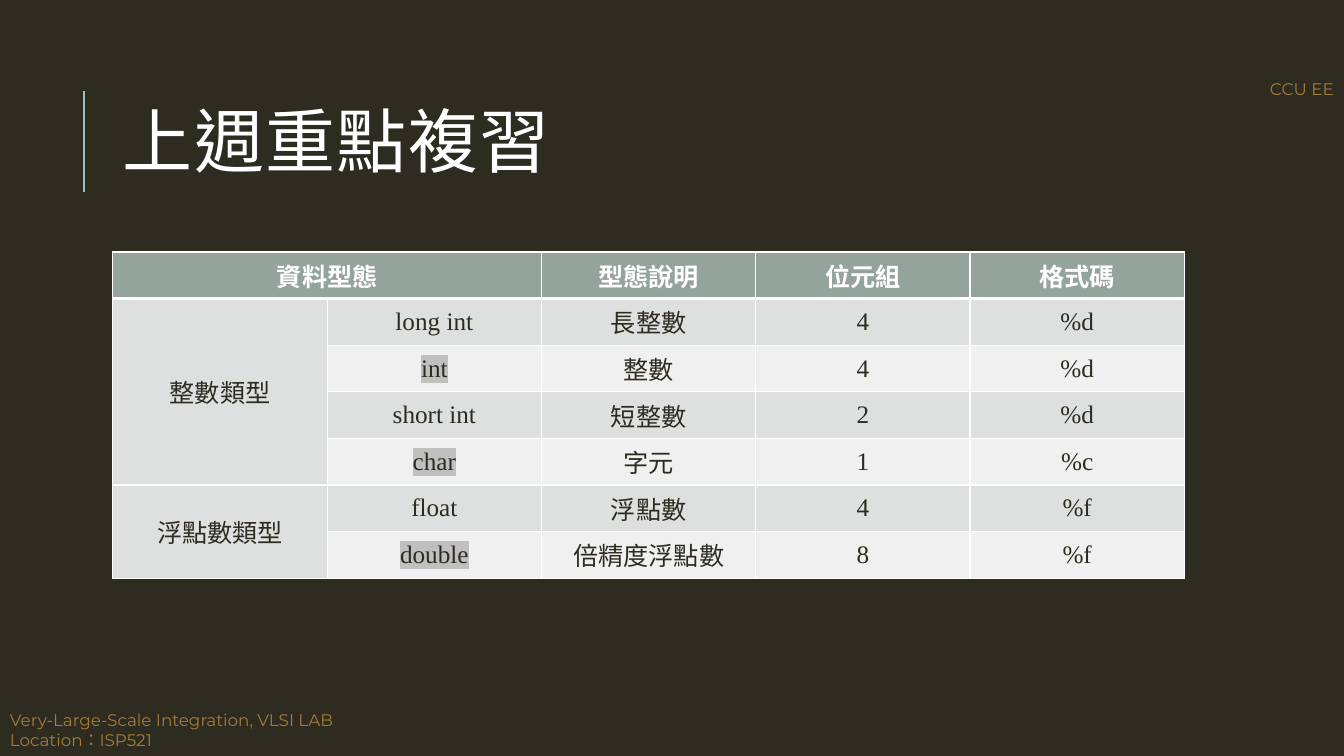
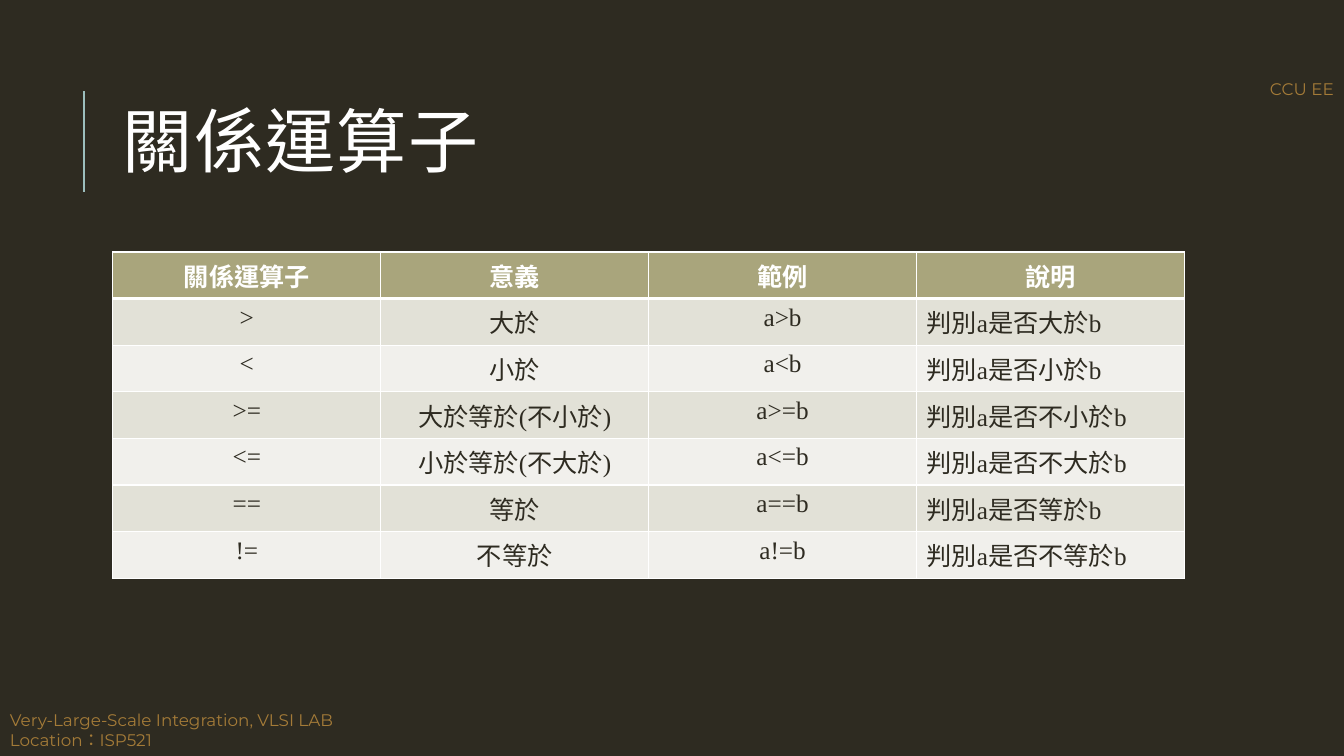
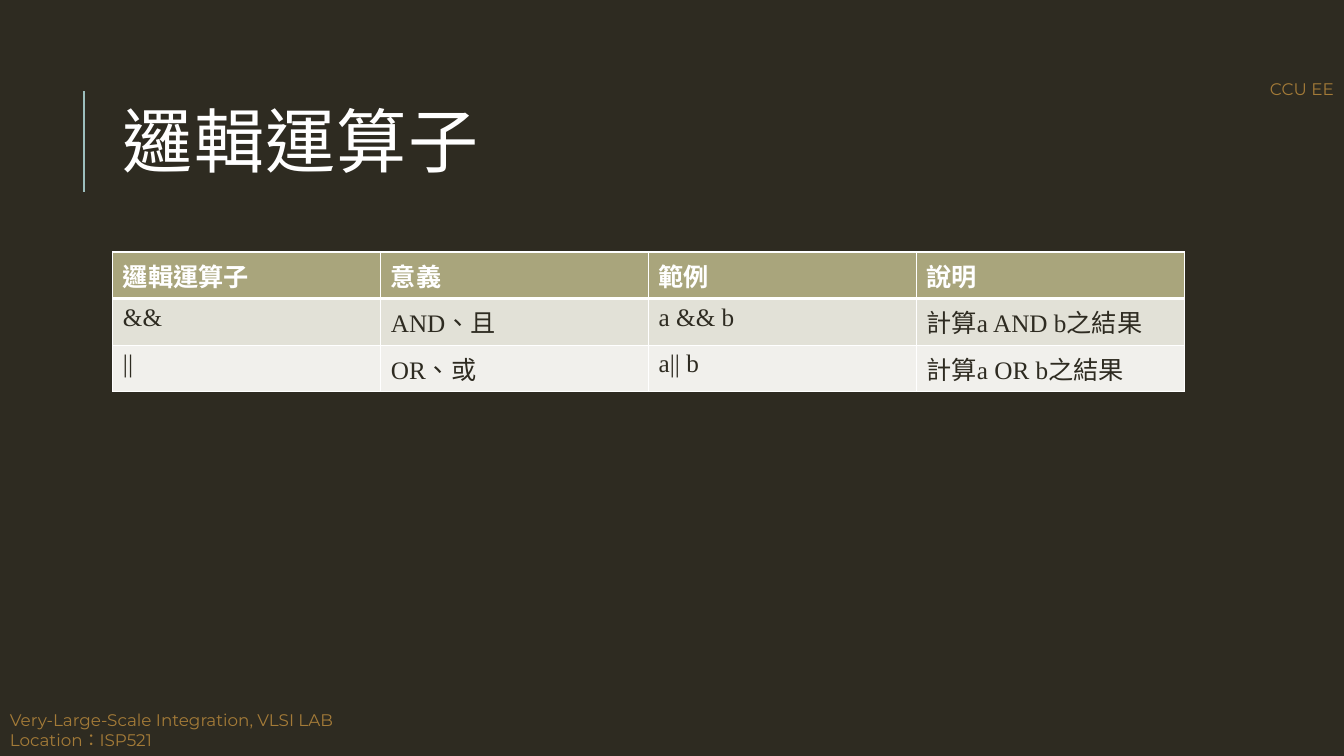
from dataclasses import dataclass

from lxml.etree import SubElement
from pptx import Presentation
from pptx.dml.color import RGBColor
from pptx.enum.shapes import MSO_CONNECTOR
from pptx.enum.text import MSO_ANCHOR, MSO_AUTO_SIZE, PP_ALIGN
from pptx.oxml.ns import qn
from pptx.slide import Slide
from pptx.table import _Cell
from pptx.text.text import TextFrame
from pptx.util import Pt

COLOURS = {
    "background": "2E2B21",
    "rule": "9CBEBD",
    "footer": "A47B38",
    "white": "FFFFFF",
    "highlight": "C0C0C0",
}
SAGE = {"header": "95A39D", "odd": "DDE0DF", "even": "EFF0EF"}
OLIVE = {"header": "A9A57C", "odd": "E2E1D7", "even": "F1F0EC"}
CHINESE_FONT = "Noto Sans CJK SC"
LATIN_FONT = "Times New Roman"
LEFT, TABLE_TOP, CONTENT_WIDTH, ROW_HEIGHT = 80.64, 180, 765.4, 33.3
FOOTER_FORMAT = {"size": Pt(12), "name": "Montserrat"}
TITLE_FORMAT = {"size": Pt(50), "name": LATIN_FONT}
HEADER_FORMAT = {"size": Pt(18), "name": LATIN_FONT, "bold": True}
BODY_FORMAT = {**HEADER_FORMAT, "bold": False}
LEFT_ALIGNED, CENTRED = PP_ALIGN.LEFT, PP_ALIGN.CENTER


@dataclass(frozen=True)
class Label:
    """A fixed text that every page carries."""

    lines: tuple[str, ...]
    left: float
    top: float
    width: float
    height: float


@dataclass(frozen=True)
class TablePage:
    """The title and table of one page."""

    title: str
    rows: tuple[tuple[str, ...], ...]
    palette: dict[str, str]
    header_align: PP_ALIGN = CENTRED
    body_aligns: tuple[PP_ALIGN, ...] = (CENTRED,) * 5
    anchor: MSO_ANCHOR = MSO_ANCHOR.TOP
    merges: tuple[tuple[int, int, int, int], ...] = ()
    highlighted: tuple[str, ...] = ()
    title_width: float = CONTENT_WIDTH
    title_font: str = LATIN_FONT


LABELS = (
    Label(("Very-Large-Scale Integration, VLSI LAB", "Location：ISP521"), 0, 503.6, 276.5, 36),
    Label(("CCU EE",), 900, 52.6, 64.8, 21.6),
)

PAGES = (
    TablePage(
        title="上週重點複習",
        rows=(
            ("資料型態", "", "型態說明", "位元組", "格式碼"),
            ("整數類型", "long int", "長整數", "4", "%d"),
            ("", "int", "整數", "4", "%d"),
            ("", "short int", "短整數", "2", "%d"),
            ("", "char", "字元", "1", "%c"),
            ("浮點數類型", "float", "浮點數", "4", "%f"),
            ("", "double", "倍精度浮點數", "8", "%f"),
        ),
        palette=SAGE,
        anchor=MSO_ANCHOR.MIDDLE,
        merges=((0, 0, 0, 1), (1, 0, 4, 0), (5, 0, 6, 0)),
        highlighted=("int", "char", "double"),
        title_font=CHINESE_FONT,
    ),
    TablePage(
        title="關係運算子",
        rows=(
            ("關係運算子", "意義", "範例", "說明"),
            (">", "大於", "a>b", "判別a是否大於b"),
            ("<", "小於", "a<b", "判別a是否小於b"),
            (">=", "大於等於(不小於)", "a>=b", "判別a是否不小於b"),
            ("<=", "小於等於(不大於)", "a<=b", "判別a是否不大於b"),
            ("==", "等於", "a==b", "判別a是否等於b"),
            ("!=", "不等於", "a!=b", "判別a是否不等於b"),
        ),
        palette=OLIVE,
        body_aligns=(CENTRED, CENTRED, CENTRED, LEFT_ALIGNED),
        title_width=814.3,
    ),
    TablePage(
        title="邏輯運算子",
        rows=(
            ("邏輯運算子", "意義", "範例", "說明"),
            ("&&", "AND、且", "a && b", "計算a AND b之結果"),
            ("||", "OR、或", "a|| b", "計算a OR b之結果"),
        ),
        palette=OLIVE,
        header_align=LEFT_ALIGNED,
        body_aligns=(LEFT_ALIGNED,) * 4,
    ),
)


def colour(name: str) -> RGBColor:
    """Return a shared colour by name."""
    return RGBColor.from_string(COLOURS[name])


def write_lines(frame: TextFrame, lines: tuple[str, ...], formats: dict, ink: str,
                align: PP_ALIGN = LEFT_ALIGNED, spacing: float = 1.0,
                tracking: int = 0, highlight: bool = False) -> None:
    """Write formatted paragraphs, with a Chinese font beside the Latin one."""
    for index, line in enumerate(lines):
        para = frame.add_paragraph() if index else frame.paragraphs[0]
        para.alignment, para.line_spacing = align, spacing
        span = para.add_run()
        span.text = line
        for attribute, value in formats.items():
            setattr(span.font, attribute, value)
        span.font.color.rgb = colour(ink)
        properties = span._r.get_or_add_rPr()
        properties.set("lang", "zh-TW")
        if tracking:
            properties.set("spc", str(tracking))
        east_asian = SubElement(properties, qn("a:ea"), typeface=CHINESE_FONT)
        properties.find(qn("a:latin")).addnext(east_asian)
        if highlight:
            marker = SubElement(properties, qn("a:highlight"))
            SubElement(marker, qn("a:srgbClr"), val=COLOURS["highlight"])
            properties.find(qn("a:solidFill")).addnext(marker)


def draw_frame(page: Slide) -> None:
    """Draw the title rule and the fixed labels."""
    rule = page.shapes.add_connector(MSO_CONNECTOR.STRAIGHT, Pt(60), Pt(136.8), Pt(60), Pt(64.8))
    rule.line.color.rgb, rule.line.width = colour("rule"), Pt(1.5)
    SubElement(rule._element.spPr, qn("a:effectLst"))
    for label in LABELS:
        box = page.shapes.add_textbox(Pt(label.left), Pt(label.top), Pt(label.width), Pt(label.height))
        box.text_frame.word_wrap = False
        box.text_frame.auto_size = MSO_AUTO_SIZE.SHAPE_TO_FIT_TEXT
        write_lines(box.text_frame, label.lines, FOOTER_FORMAT, "footer")


def draw_title(page: Slide, content: TablePage) -> None:
    """Draw the large page title."""
    box = page.shapes.add_textbox(Pt(LEFT), Pt(46), Pt(content.title_width), Pt(118))
    box.text_frame.word_wrap = True
    box.text_frame.vertical_anchor = MSO_ANCHOR.MIDDLE
    formats = {**TITLE_FORMAT, "name": content.title_font}
    write_lines(box.text_frame, (content.title,), formats, "white", spacing=0.8, tracking=100)


def style_cell(cell: _Cell, row: int, fill: str) -> None:
    """Give a cell white borders and a plain fill."""
    properties = cell._tc.get_or_add_tcPr()
    widths = {"L": 1, "R": 1, "T": 3 if row == 1 else 1, "B": 3 if row == 0 else 1}
    for side, width in widths.items():
        border = SubElement(properties, qn(f"a:ln{side}"), w=str(Pt(width)))
        paint = SubElement(border, qn("a:solidFill"))
        SubElement(paint, qn("a:srgbClr"), val=COLOURS["white"])
    cell.fill.solid()
    cell.fill.fore_color.rgb = RGBColor.from_string(fill)


def draw_table(page: Slide, content: TablePage) -> None:
    """Draw the table with equal columns and banded rows."""
    row_count, column_count = len(content.rows), len(content.rows[0])
    table = page.shapes.add_table(row_count, column_count, Pt(LEFT), Pt(TABLE_TOP),
                                  Pt(CONTENT_WIDTH), Pt(ROW_HEIGHT * row_count)).table
    table.first_row = table.horz_banding = False
    for row, texts in enumerate(content.rows):
        band = "header" if row == 0 else ("even", "odd")[row % 2]
        for column, text in enumerate(texts):
            cell = table.cell(row, column)
            style_cell(cell, row, content.palette[band])
            cell.vertical_anchor = content.anchor
            if text:
                write_lines(cell.text_frame, (text,),
                            BODY_FORMAT if row else HEADER_FORMAT,
                            "background" if row else "white",
                            content.body_aligns[column] if row else content.header_align,
                            highlight=text in content.highlighted)
    for top, left, bottom, right in content.merges:
        table.cell(top, left).merge(table.cell(bottom, right))


def main() -> None:
    """Build and save the deck."""
    deck = Presentation()
    deck.slide_width, deck.slide_height = Pt(960), Pt(540)
    backdrop = deck.slide_master.background.fill
    backdrop.solid()
    backdrop.fore_color.rgb = colour("background")
    for content in PAGES:
        page = deck.slides.add_slide(deck.slide_layouts[6])
        draw_frame(page)
        draw_title(page, content)
        draw_table(page, content)
    deck.save("out.pptx")


if __name__ == "__main__":
    main()
